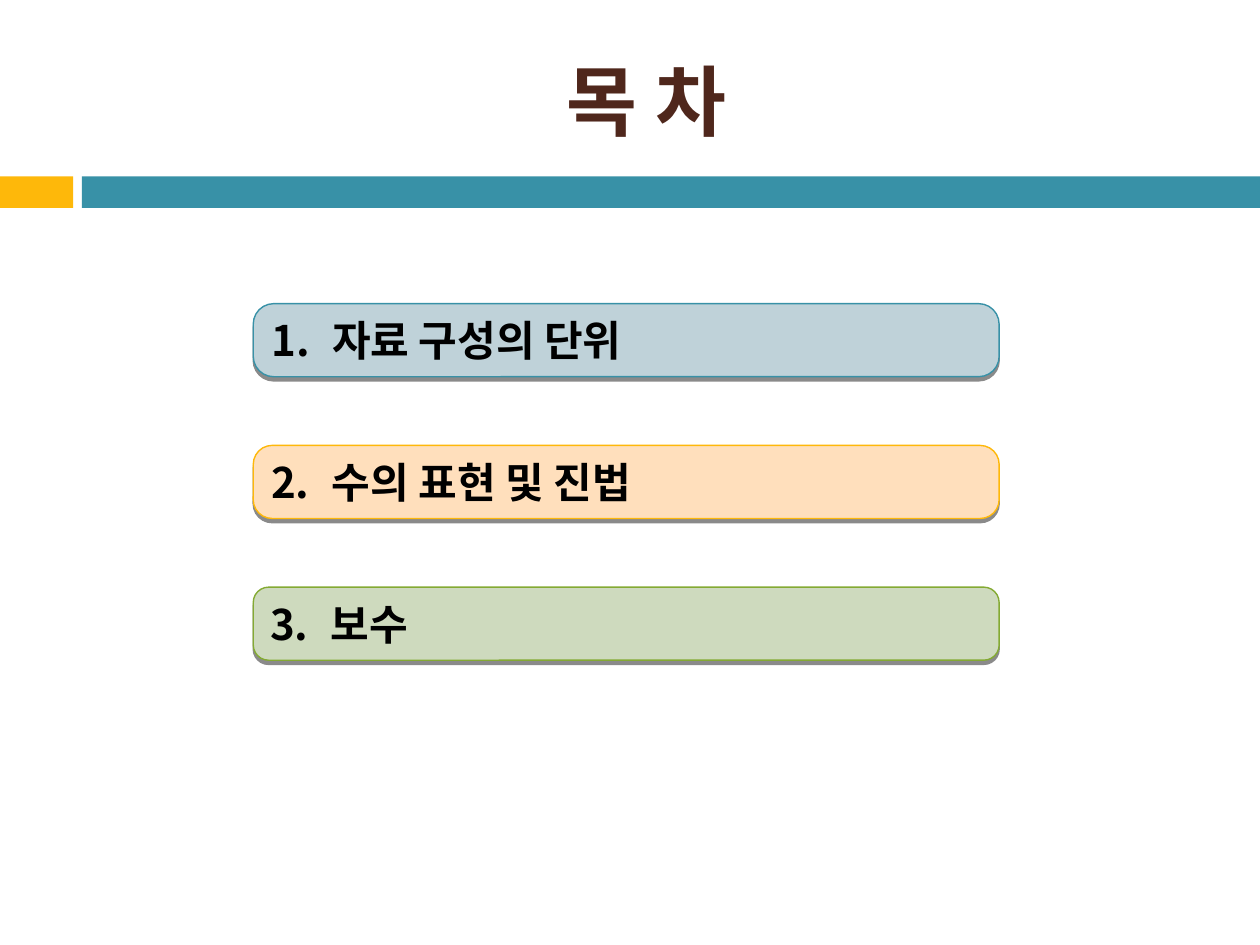
"""Build a contents slide with a title, a divider band and three numbered topics."""
from lxml.etree import SubElement
from pptx import Presentation
from pptx.dml.color import RGBColor
from pptx.enum.shapes import MSO_SHAPE
from pptx.enum.text import MSO_ANCHOR, PP_ALIGN
from pptx.oxml import parse_xml
from pptx.oxml.ns import nsdecls, qn
from pptx.util import Inches, Pt

TITLE = "목 차"
TOPICS = [
    ("자료 구성의 단위", "BFD2D9", "3891A7", 0.28),
    ("수의 표현 및 진법", "FFDFBC", "FEB80A", 0.26),
    ("보수", "CEDABE", "84AA33", 0.21),
]
BANDS = [(0, 0.58, "FEB80A"), (0.65, 9.35, "3891A7")]
THEME = {
    "font": "Noto Sans CJK KR",
    "title_color": "4F271C",
    "title_size": 44,
    "topic_color": "000000",
    "topic_size": 24,
}
TOPIC_LEFT, TOPIC_TOP, TOPIC_WIDTH, TOPIC_HEIGHT = 2.01, 2.41, 5.92, 0.58
TOPIC_PITCH = 1.125
TEXT_TAB = 0.48


def format_text(frame, role):
    frame.word_wrap = True
    frame.vertical_anchor = MSO_ANCHOR.MIDDLE
    for span in frame.paragraphs[0].runs:
        span.font.name = THEME["font"]
        span.font.size = Pt(THEME[f"{role}_size"])
        span.font.bold = True
        span.font.color.rgb = RGBColor.from_string(THEME[f"{role}_color"])
        SubElement(span.font._element, qn("a:ea"), typeface=THEME["font"])


def add_block(page, kind, left, top, width, height, fill):
    block = page.shapes.add_shape(
        kind, Inches(left), Inches(top), Inches(width), Inches(height))
    block.shadow.inherit = False
    block.fill.solid()
    block.fill.fore_color.rgb = RGBColor.from_string(fill)
    block.line.fill.background()
    return block


def add_drop_shadow(block):
    effects = block._element.spPr.find(qn("a:effectLst"))
    effects.append(parse_xml(
        f'<a:outerShdw {nsdecls("a")} blurRad="0" dist="{Pt(2.4)}" '
        'dir="5400000" algn="ctr" rotWithShape="0"><a:srgbClr val="000000">'
        '<a:alpha val="45000"/></a:srgbClr></a:outerShdw>'))


def add_topic(page, index, text, fill, edge, rounding):
    top = TOPIC_TOP + index * TOPIC_PITCH
    block = add_block(page, MSO_SHAPE.ROUNDED_RECTANGLE,
                      TOPIC_LEFT, top, TOPIC_WIDTH, TOPIC_HEIGHT, fill)
    block.adjustments[0] = rounding
    block.line.color.rgb = RGBColor.from_string(edge)
    block.line.width = Pt(0.79)
    add_drop_shadow(block)
    para = block.text_frame.paragraphs[0]
    para.text = f"{index + 1}.\t{text}"
    para.alignment = PP_ALIGN.LEFT
    tabs = SubElement(para._p.get_or_add_pPr(), qn("a:tabLst"))
    SubElement(tabs, qn("a:tab"), pos=str(Inches(TEXT_TAB)), algn="l")
    format_text(block.text_frame, "topic")


def add_title(page):
    box = page.shapes.add_textbox(
        Inches(0.67), Inches(0.25), Inches(8.92), Inches(1.08))
    box.text_frame.text = TITLE
    box.text_frame.paragraphs[0].alignment = PP_ALIGN.CENTER
    format_text(box.text_frame, "title")


def main():
    deck = Presentation()
    deck.slide_width, deck.slide_height = Inches(10), Inches(7.5)
    page = deck.slides.add_slide(deck.slide_layouts[6])
    for left, width, fill in BANDS:
        add_block(page, MSO_SHAPE.RECTANGLE, left, 1.4, width, 0.25, fill)
    add_title(page)
    for index, topic in enumerate(TOPICS):
        add_topic(page, index, *topic)
    deck.save("out.pptx")


if __name__ == "__main__":
    main()
